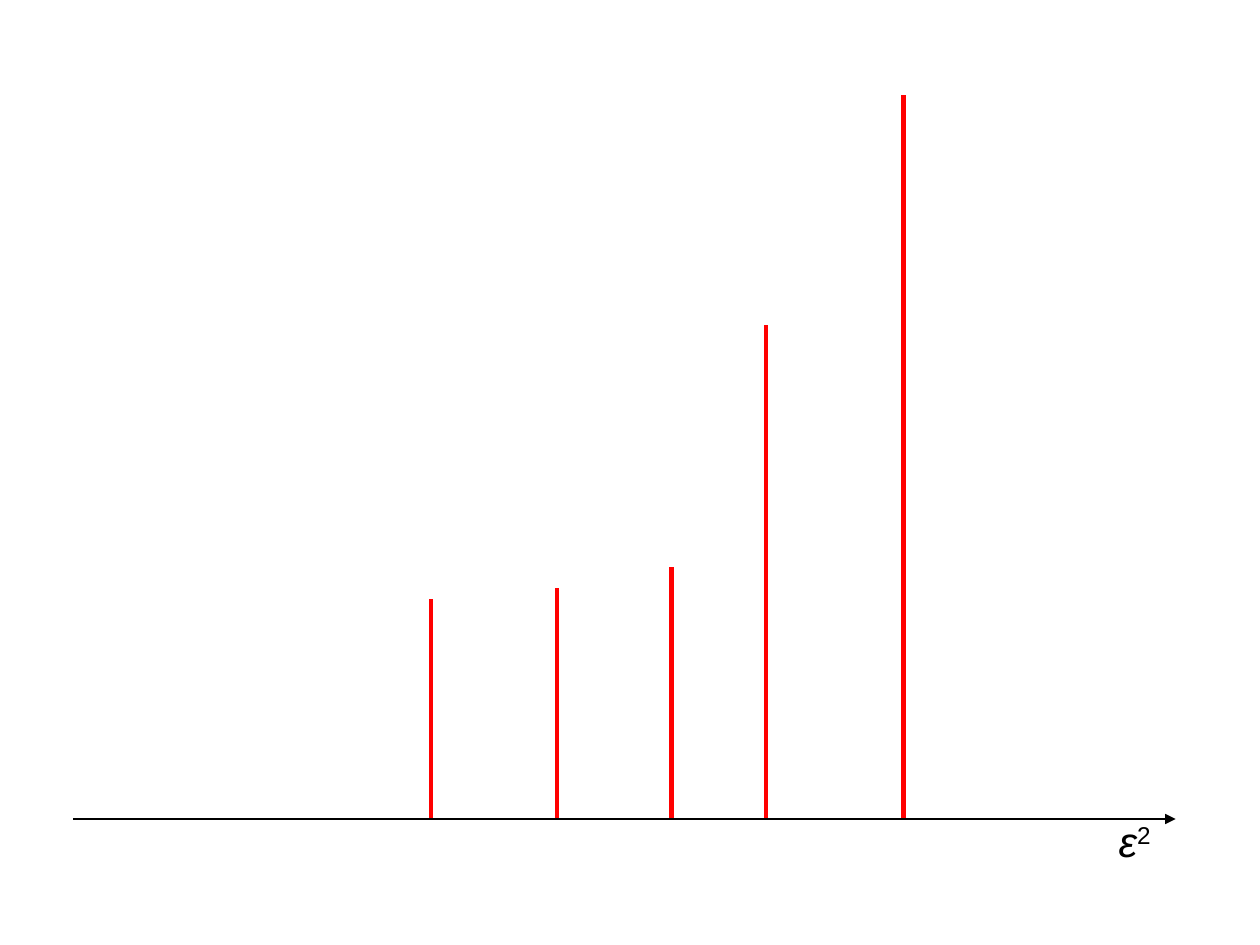
from pptx import Presentation
from pptx.dml.color import RGBColor
from pptx.enum.shapes import MSO_CONNECTOR
from pptx.enum.text import MSO_ANCHOR, PP_ALIGN
from pptx.oxml.ns import qn
from pptx.util import Pt
from lxml import etree

STRAIGHT = MSO_CONNECTOR.STRAIGHT
MIDDLE = MSO_ANCHOR.MIDDLE
CENTER = PP_ALIGN.CENTER
PX = 9144  # 100 px to the inch

presentation = Presentation()
presentation.slide_width = 1000 * PX
presentation.slide_height = 750 * PX
slide = presentation.slides.add_slide(presentation.slide_layouts[6])


def add_line(x1, y1, x2, y2, color, width, arrow=False):
    connector = slide.shapes.add_connector(
        STRAIGHT, x1 * PX, y1 * PX, x2 * PX, y2 * PX)
    connector.line.color.rgb = RGBColor.from_string(color)
    connector.line.width = Pt(width)
    if arrow:
        line = connector.line._get_or_add_ln()
        etree.SubElement(line, qn("a:tailEnd"), type="triangle")
    etree.SubElement(connector._element.spPr, qn("a:effectLst"))


def add_run(paragraph, text, size=24, font="Arial", color="000000",
            italic=False, baseline=None):
    run = paragraph.add_run()
    run.text = text
    run.font.size = Pt(size)
    run.font.name = font
    run.font.italic = italic
    run.font.color.rgb = RGBColor.from_string(color)
    if baseline:
        run.font._element.set("baseline", str(baseline * 1000))


# Spectrum lines: position and top, all standing on the axis
AXIS_Y = 650
for x, top in [(342, 475), (442, 467), (533, 450), (608, 258), (717, 75)]:
    add_line(x, AXIS_Y, x, top, "FF0000", 2.5)

# Horizontal axis
add_line(58, AXIS_Y, 933, AXIS_Y, "000000", 0.75, arrow=True)

# Axis label
label = slide.shapes.add_textbox(867 * PX, 642 * PX, 67 * PX, 50 * PX)
label.text_frame.word_wrap = True
label.text_frame.vertical_anchor = MIDDLE
paragraph = label.text_frame.paragraphs[0]
paragraph.alignment = CENTER
add_run(paragraph, "ε", italic=True)
add_run(paragraph, "2", baseline=30)

presentation.save("out.pptx")
